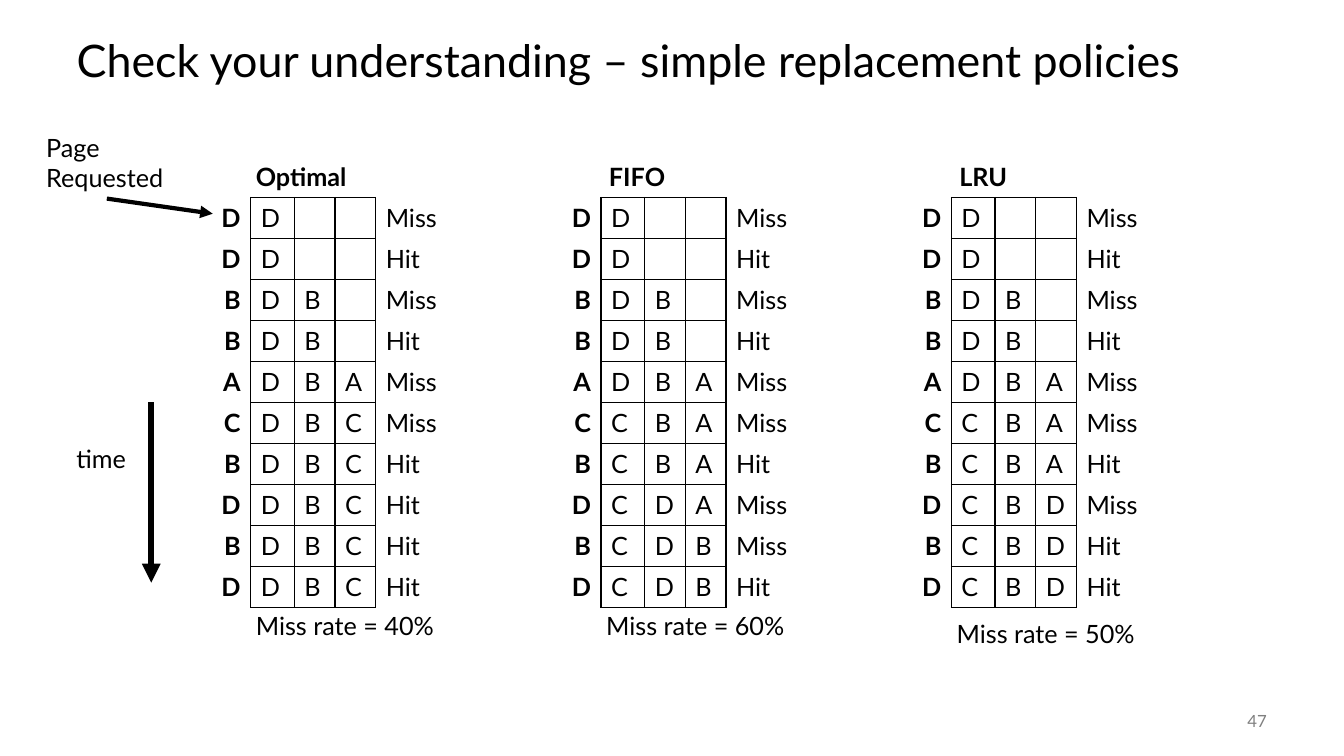
from dataclasses import dataclass

from lxml.etree import SubElement
from pptx import Presentation
from pptx.dml.color import RGBColor
from pptx.enum.shapes import MSO_CONNECTOR as Connector
from pptx.enum.text import MSO_ANCHOR as Anchor, PP_ALIGN as Align
from pptx.oxml.ns import qn
from pptx.util import Inches, Pt


@dataclass(frozen=True)
class Theme:
    font: str = "Lato"
    ink: str = "000000"
    muted: str = "808080"
    title: int = 32
    body: int = 18
    number: int = 12
    border: int = 1


class SlideBuilder:
    def __init__(self, presentation, theme):
        self.theme = theme
        self.width = presentation.slide_width
        self.height = presentation.slide_height
        self.slide = presentation.slides.add_slide(presentation.slide_layouts[5])

    def x(self, percent):
        return round(self.width * percent / 100)

    def y(self, percent):
        return round(self.height * percent / 100)

    def box(self, left, top, width, height):
        return self.x(left), self.y(top), self.x(width), self.y(height)

    def styled_text(self, text_frame, text, size=None, color=None, bold=False, align=Align.LEFT):
        text_frame.text = text
        paragraph = text_frame.paragraphs[0]
        paragraph.alignment = align
        for run in paragraph.runs:
            run.font.name = self.theme.font
            run.font.size = Pt(size or self.theme.body)
            run.font.bold = bold
            run.font.color.rgb = RGBColor.from_string(color or self.theme.ink)
        return paragraph

    def title(self, text, left, top, width, height):
        shape = self.slide.shapes.title
        shape.left, shape.top, shape.width, shape.height = self.box(left, top, width, height)
        shape.text_frame.vertical_anchor = Anchor.MIDDLE
        self.styled_text(shape.text_frame, text, self.theme.title).line_spacing = 0.9

    def label(self, text, left, top, width, height=5.33, anchor=Anchor.TOP, **style):
        shape = self.slide.shapes.add_textbox(*self.box(left, top, width, height))
        shape.text_frame.word_wrap = True
        shape.text_frame.vertical_anchor = anchor
        self.styled_text(shape.text_frame, text, **style)

    def arrow(self, start, end, weight):
        connector = self.slide.shapes.add_connector(
            Connector.STRAIGHT, self.x(start[0]), self.y(start[1]), self.x(end[0]), self.y(end[1]))
        connector.line.width = Pt(weight)
        connector.line.color.rgb = RGBColor.from_string(self.theme.ink)
        properties = connector._element.spPr
        SubElement(properties.find(qn("a:ln")), qn("a:tailEnd"), type="triangle")
        SubElement(properties, qn("a:effectLst"))

    def borders(self, cell, visible):
        properties = cell._tc.get_or_add_tcPr()
        for side in "LRTB":
            line = SubElement(properties, qn(f"a:ln{side}"), w=str(Pt(self.theme.border)))
            if side in visible:
                fill = SubElement(line, qn("a:solidFill"))
                SubElement(fill, qn("a:srgbClr"), val=self.theme.ink)
            else:
                SubElement(line, qn("a:noFill"))

    def trace_table(self, rows, left, top, widths, row_height):
        frame = self.slide.shapes.add_table(
            len(rows), len(widths),
            *self.box(left, top, sum(widths), row_height * len(rows)))
        table = frame.table
        table.first_row = table.horz_banding = False
        for column, width in zip(table.columns, widths):
            column.width = self.x(width)
        last = len(widths) - 1
        for row_index, values in enumerate(rows):
            table.rows[row_index].height = self.y(row_height)
            for column_index, value in enumerate(values):
                cell = table.cell(row_index, column_index)
                request = column_index == 0
                self.styled_text(cell.text_frame, value, bold=request,
                                 align=Align.RIGHT if request else Align.LEFT)
                self.borders(cell, {0: "R", last: "L"}.get(column_index, "LRTB"))
                cell.fill.background()


REQUESTS = "DDBBACBDBD"
WARM_UP = ["D", "D", "DB", "DB", "DBA"]
POLICIES = [
    ("Optimal", WARM_UP + ["DBC"] * 5, 3.85, 80.13),
    ("FIFO", WARM_UP + ["CBA", "CBA", "CDA", "CDB", "CDB"], 4.05, 80.13),
    ("LRU", WARM_UP + ["CBA", "CBA", "CBD", "CBD", "CBD"], 4.05, 81.07),
]
TABLE_LEFT, TABLE_TOP, TABLE_PITCH = 14.45, 26.13, 26.07
COLUMN_WIDTHS = [4.2, 3.25, 3.03, 3.03, 7.5]
ROW_HEIGHT = 5.42


def trace(frames):
    before = [""] + frames[:-1]
    outcomes = ["Hit" if page in held else "Miss" for page, held in zip(REQUESTS, before)]
    rows = [[page, *held, *[""] * (3 - len(held)), outcome]
            for page, held, outcome in zip(REQUESTS, frames, outcomes)]
    return rows, 100 * outcomes.count("Miss") // len(outcomes)


def main():
    presentation = Presentation()
    presentation.slide_width, presentation.slide_height = Inches(13.33), Inches(7.5)
    theme = Theme()
    builder = SlideBuilder(presentation, theme)
    builder.title("Check your understanding – simple replacement policies", 4.95, 3.33, 90, 10)
    builder.label("47", 87.5, 92.67, 7.5, anchor=Anchor.MIDDLE,
                  size=theme.number, color=theme.muted, align=Align.RIGHT)
    for index, (name, frames, name_offset, rate_top) in enumerate(POLICIES):
        left = TABLE_LEFT + index * TABLE_PITCH
        rows, miss_rate = trace(frames)
        builder.trace_table(rows, left, TABLE_TOP, COLUMN_WIDTHS, ROW_HEIGHT)
        builder.label(name, left + name_offset, 20.67, 9.5, bold=True)
        builder.label(f"Miss rate = {miss_rate}%", left + 3.85, rate_top, 17.1)
    builder.arrow((11.25, 53.2), (11.25, 77.07), 4.5)
    builder.label("time", 4.95, 58, 5.7)
    builder.arrow((7.95, 26.27), (15.83, 28.27), 3)
    builder.label("Page Requested", 2.7, 16.8, 10.5, 9.47)
    presentation.save("out.pptx")


if __name__ == "__main__":
    main()
